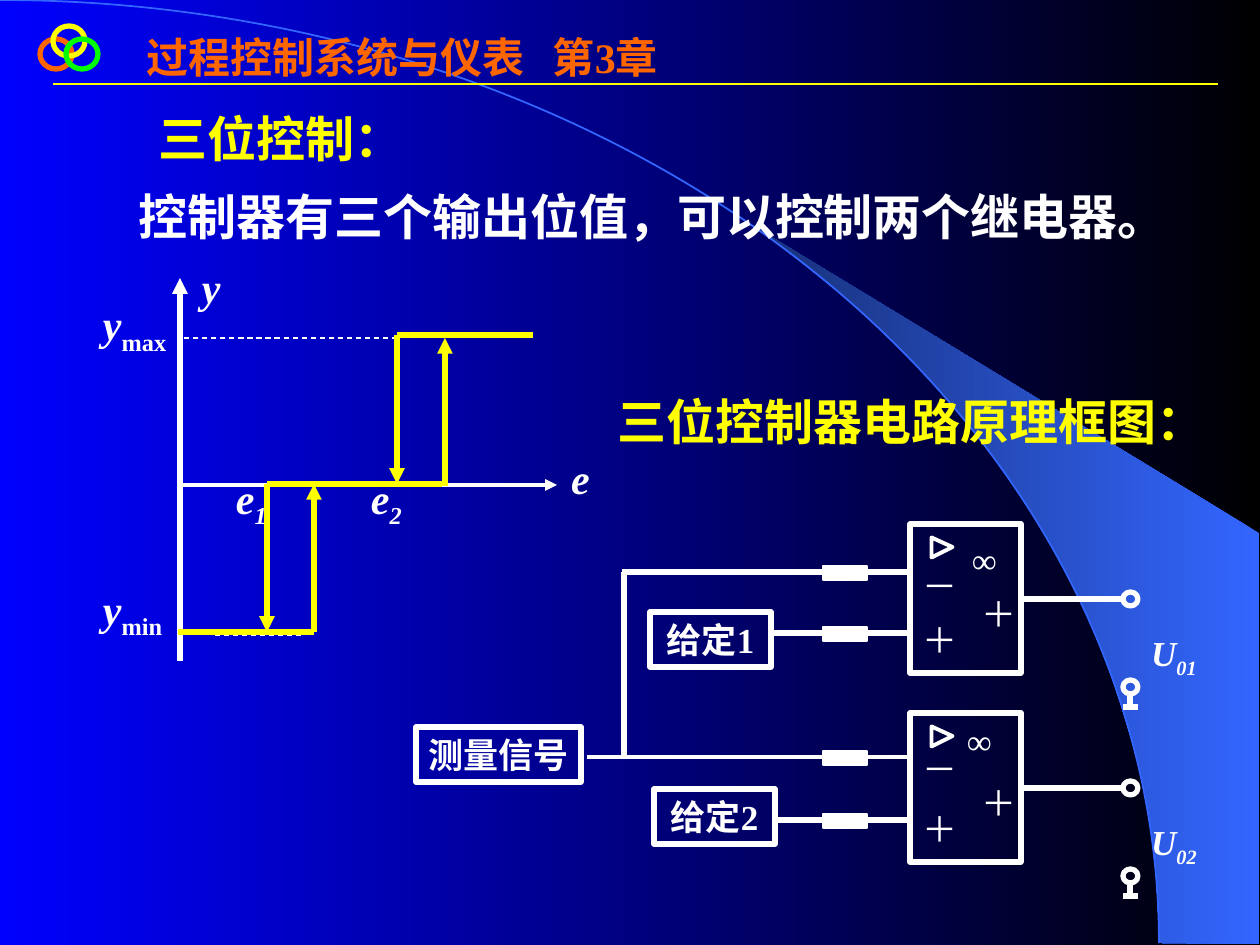
from dataclasses import dataclass
from math import acos, cos, sin

from lxml import etree
from pptx import Presentation
from pptx.dml.color import RGBColor
from pptx.enum.dml import MSO_LINE
from pptx.enum.shapes import MSO_CONNECTOR, MSO_SHAPE
from pptx.enum.text import MSO_ANCHOR, MSO_AUTO_SIZE, PP_ALIGN
from pptx.oxml.ns import qn
from pptx.util import Pt

SCALE = 914400 / 126
FONT = "Times New Roman"
COLORS = {
    "black": "000000", "blue": "0000FF", "white": "FFFFFF", "yellow": "FFFF00",
    "orange": "FF6600", "green": "00FF00", "arc": "3366FF", "shade": "172F75",
}
STRAIGHT = MSO_CONNECTOR.STRAIGHT
DASH = MSO_LINE.DASH
RECTANGLE, OVAL, ARC = MSO_SHAPE.RECTANGLE, MSO_SHAPE.OVAL, MSO_SHAPE.ARC
TERMINAL, TRIANGLE = MSO_SHAPE.FLOWCHART_CONNECTOR, MSO_SHAPE.ISOSCELES_TRIANGLE
TOP, MIDDLE = MSO_ANCHOR.TOP, MSO_ANCHOR.MIDDLE
LEFT, CENTER = PP_ALIGN.LEFT, PP_ALIGN.CENTER
NO_AUTOFIT = MSO_AUTO_SIZE.NONE
ARC_WIDTH, ARC_HEIGHT = 1159, 943


@dataclass
class Label:
    left: int
    top: int
    width: int
    height: int
    text: str
    size: int = 24
    color: str = "white"
    bold: bool = True
    italic: bool = False
    subscript: str = ""
    subscript_italic: bool = True
    spacing: float = 1.0
    tab: int = 0


@dataclass
class Line:
    x1: int
    y1: int
    x2: int
    y2: int
    color: str = "white"
    width: float = 3
    arrow: bool = False
    dashed: bool = False


@dataclass
class Channel:
    top: int
    signal_y: int
    signal_left: int
    signal_width: float
    setpoint_y: int
    box_left: int
    box_top: int
    setpoint: str
    minus_top: int
    infinity_left: int
    infinity_top: int
    output: str


HEADER = Label(147, 32, 560, 60, "过程控制系统与仪表\t第3章", color="orange", tab=406)
TITLE = Label(159, 94, 343, 75, "三位控制：", 28, "yellow", spacing=1.25)
TEXTS = [
    Label(139, 175, 1070, 70, "控制器有三个输出位值，可以控制两个继电器。", 28, spacing=1.2),
    Label(618, 392, 610, 60, "三位控制器电路原理框图：", 28, "yellow"),
    Label(103, 299, 80, 58, "y", italic=True, subscript="max", subscript_italic=False),
    Label(103, 583, 80, 58, "y", italic=True, subscript="min", subscript_italic=False),
    Label(571, 453, 30, 50, "e", italic=True),
    Label(202, 262, 30, 50, "y", italic=True),
    Label(236, 472, 60, 58, "e", italic=True, subscript="1"),
    Label(371, 472, 60, 58, "e", italic=True, subscript="2"),
]
GRAPH = [
    Line(180, 661, 180, 278, arrow=True),
    Line(397, 338, 180, 338, width=0.75, dashed=True),
    Line(301, 635, 213, 635, width=0.75, dashed=True),
    Line(178, 485, 557, 485, width=2.25, arrow=True),
    Line(397, 335, 533, 335, "yellow"),
    Line(445, 486, 445, 338, "yellow", arrow=True),
    Line(397, 335, 397, 484, "yellow", arrow=True),
    Line(178, 632, 314, 632, "yellow"),
    Line(314, 632, 314, 484, "yellow", arrow=True),
    Line(267, 484, 267, 632, "yellow", arrow=True),
    Line(267, 484, 442, 484, "yellow"),
]
CHANNELS = [
    Channel(524, 572, 622, 3, 633, 650, 612, "给定1", 564, 972, 538, "01"),
    Channel(713, 757, 587, 2.25, 820, 654, 789, "给定2", 747, 967, 719, "02"),
]
RINGS = [(40, 39, "orange"), (53, 26, "yellow"), (66, 39, "green")]


def px(value: float) -> int:
    return round(value * SCALE)


def rgb(name: str) -> RGBColor:
    return RGBColor.from_string(COLORS[name])


def fill_gradient(fill, first: str, last: str) -> None:
    fill.gradient()
    fill.gradient_angle = 180
    for stop, color in zip(fill.gradient_stops, (first, last)):
        stop.color.rgb = rgb(color)


def write_text(shape, label: Label, align=LEFT, anchor=TOP) -> None:
    frame = shape.text_frame
    frame.auto_size = NO_AUTOFIT
    frame.word_wrap = True
    frame.margin_left = frame.margin_right = frame.margin_top = frame.margin_bottom = 0
    frame.vertical_anchor = anchor
    paragraph = frame.paragraphs[0]
    paragraph.alignment = align
    paragraph.line_spacing = label.spacing
    if label.tab:
        tabs = etree.SubElement(paragraph._p.get_or_add_pPr(), qn("a:tabLst"))
        etree.SubElement(tabs, qn("a:tab"), pos=str(px(label.tab)), algn="l")
    font = paragraph.font
    font.name, font.size = FONT, Pt(label.size)
    font.bold, font.italic = label.bold, label.italic
    font.color.rgb = rgb(label.color)
    paragraph.add_run().text = label.text
    if label.subscript:
        run = paragraph.add_run()
        run.text = label.subscript
        run.font.italic = label.subscript_italic
        run._r.get_or_add_rPr().set("baseline", "-25000")


def place(shape, label: Label) -> None:
    shape.left, shape.top = px(label.left), px(label.top)
    shape.width, shape.height = px(label.width), px(label.height)


def add_label(slide, label: Label) -> None:
    shape = slide.shapes.add_textbox(0, 0, 0, 0)
    place(shape, label)
    write_text(shape, label)


def add_outline(slide, kind, left: int, top: int, width: int, height: int,
                color: str = "white", weight: float = 3, filled: bool = False):
    shape = slide.shapes.add_shape(kind, px(left), px(top), px(width), px(height))
    shape.shadow.inherit = False
    if filled:
        shape.fill.solid()
        shape.fill.fore_color.rgb = rgb(color)
    else:
        shape.fill.background()
    shape.line.color.rgb = rgb(color)
    shape.line.width = Pt(weight)
    return shape


def add_line(slide, line: Line) -> None:
    connector = slide.shapes.add_connector(
        STRAIGHT, px(line.x1), px(line.y1), px(line.x2), px(line.y2))
    connector.line.color.rgb = rgb(line.color)
    connector.line.width = Pt(line.width)
    if line.dashed:
        connector.line.dash_style = DASH
    if line.arrow:
        etree.SubElement(connector.get_or_add_ln(), qn("a:tailEnd"), type="triangle")
    etree.SubElement(connector._element.spPr, qn("a:effectLst"))


def add_box(slide, left: int, top: int, width: int, text: str) -> None:
    shape = add_outline(slide, RECTANGLE, left, top, width, 55)
    write_text(shape, Label(left, top, width, 55, text, 20), CENTER, MIDDLE)


def add_backdrop(slide) -> None:
    fill_gradient(slide.background.fill, "black", "blue")
    sweep = acos(742 / ARC_WIDTH)
    angles = [sweep * step / 24 for step in range(24, -1, -1)]
    edge = [(round(ARC_WIDTH * cos(angle)), round(ARC_HEIGHT * (1 - sin(angle))))
            for angle in angles]
    builder = slide.shapes.build_freeform(*edge[0], scale=SCALE)
    builder.add_line_segments(edge[1:] + [(1259, 944), (1259, 533)], close=True)
    beam = builder.convert_to_shape()
    beam.shadow.inherit = False
    beam.line.fill.background()
    fill_gradient(beam.fill, "arc", "shade")
    add_outline(slide, ARC, -ARC_WIDTH, 0, 2 * ARC_WIDTH, 2 * ARC_HEIGHT, "arc", 1)
    add_line(slide, Line(53, 84, 1218, 84, "yellow", 1.5))
    add_label(slide, HEADER)
    for left, top, color in RINGS:
        add_outline(slide, OVAL, left, top, 32, 30, color)


def add_channel(slide, channel: Channel) -> None:
    top = channel.top
    output_y, ground_y = top + 75, top + 183
    add_box(slide, channel.box_left, channel.box_top, 121, channel.setpoint)
    for line in (
        Line(channel.signal_left, channel.signal_y, 910, channel.signal_y,
             width=channel.signal_width),
        Line(channel.box_left + 119, channel.setpoint_y, 910, channel.setpoint_y),
        Line(1021, output_y, 1123, output_y),
        Line(1130, top + 170, 1130, ground_y),
        Line(1123, ground_y, 1138, ground_y),
    ):
        add_line(slide, line)
    for wire_y in (channel.signal_y, channel.setpoint_y):
        add_outline(slide, RECTANGLE, 823, wire_y - 6, 44, 14, weight=0.75, filled=True)
    for terminal_top in (output_y - 7, top + 156):
        add_outline(slide, TERMINAL, 1123, terminal_top, 15, 14)
    add_outline(slide, RECTANGLE, 910, top, 111, 149)
    amplifier = add_outline(slide, TRIANGLE, 932, top + 13, 20, 21, weight=2.25)
    amplifier.adjustments[0] = 0.48
    amplifier.rotation = 90
    for left, symbol_top, symbol in (
        (923, channel.minus_top, "－"), (923, top + 94, "＋"), (982, top + 68, "＋"),
        (channel.infinity_left, channel.infinity_top, "∞"),
    ):
        add_label(slide, Label(left, symbol_top, 40, 43, symbol, 20, bold=False))
    add_label(slide, Label(1151, top + 108, 70, 48, "U", 20, italic=True,
                           subscript=channel.output))


def main() -> None:
    presentation = Presentation()
    presentation.slide_width, presentation.slide_height = px(1260), px(945)
    slide = presentation.slides.add_slide(presentation.slide_layouts[5])
    place(slide.shapes.title, TITLE)
    write_text(slide.shapes.title, TITLE)
    add_backdrop(slide)
    for label in TEXTS:
        add_label(slide, label)
    for line in GRAPH:
        add_line(slide, line)
    add_box(slide, 416, 727, 165, "测量信号")
    add_line(slide, Line(624, 572, 624, 757))
    for channel in CHANNELS:
        add_channel(slide, channel)
    presentation.save("out.pptx")


if __name__ == "__main__":
    main()
